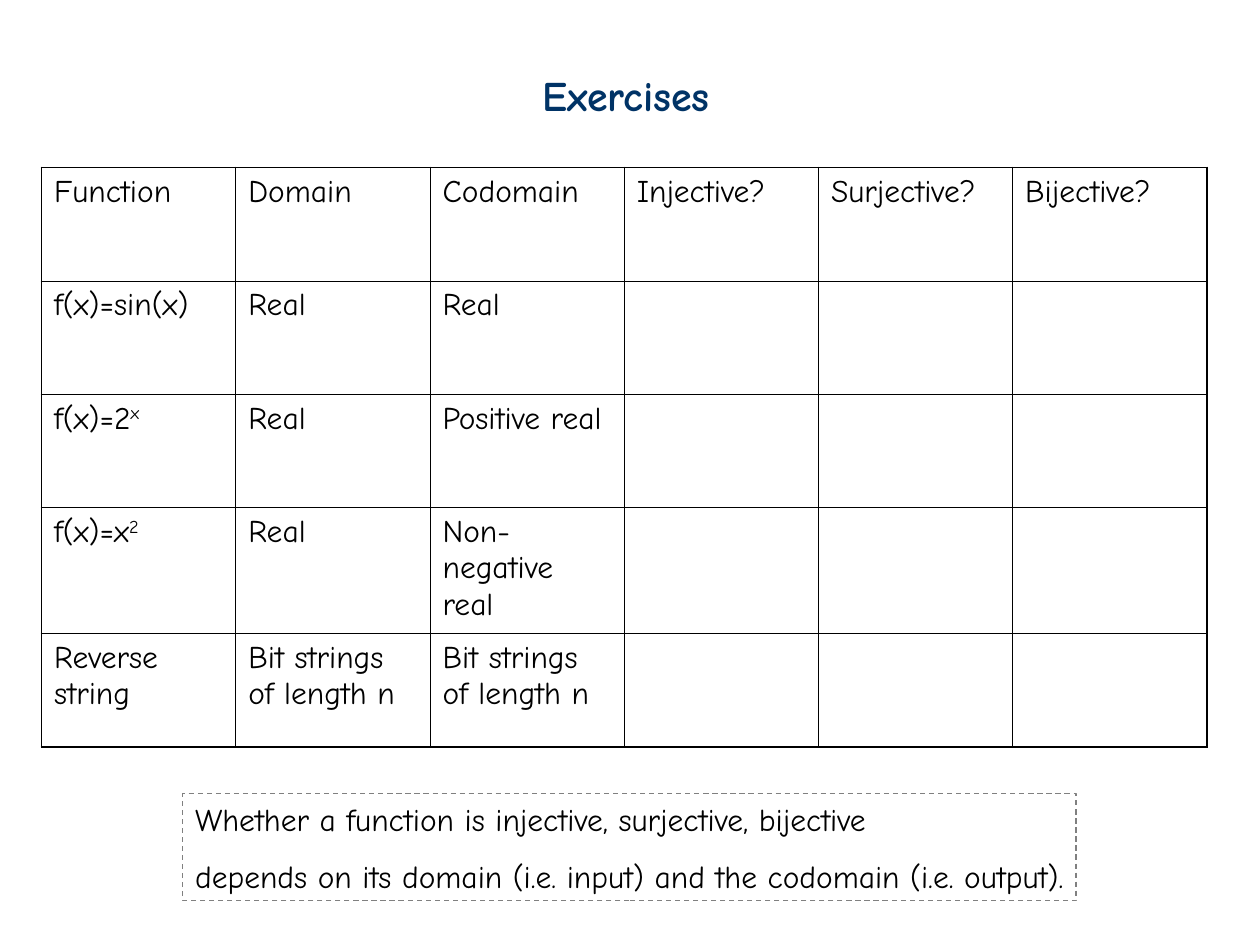
from lxml.etree import SubElement
from pptx import Presentation
from pptx.dml.color import RGBColor
from pptx.enum.dml import MSO_LINE
from pptx.enum.shapes import MSO_SHAPE
from pptx.enum.text import MSO_ANCHOR, PP_ALIGN
from pptx.oxml.ns import qn
from pptx.util import Inches, Pt

WIDTH, HEIGHT = 10, 7.5
HEADINGS = ["Function", "Domain", "Codomain", "Injective?", "Surjective?", "Bijective?"]
# A "^" in a cell starts a superscript.
FUNCTIONS = [
    ["f(x)=sin(x)", "Real", "Real"],
    ["f(x)=2^x", "Real", "Positive real"],
    ["f(x)=x^2", "Real", "Non-negative real"],
    ["Reverse string", "Bit strings of length n", "Bit strings of length n"],
]
ROW_HEIGHTS = [0.9, 0.9, 0.9, 1, 0.9]
NOTE = [
    ("Whether a function is injective, surjective, bijective", 1),
    ("depends on its domain (i.e. input) and the codomain (i.e. output).", 1.5),
]


def colour(value):
    return RGBColor.from_string(value)


class ExerciseSlide:
    font, ink, navy, grey = "Comic Neue", "000000", "003366", "808080"
    size, thin, thick = 18, 0.45, 1.08

    def __init__(self, deck):
        self.page = deck.slides.add_slide(deck.slide_layouts[5])

    def area(self, left, top, width, height):
        """Turn shares of the slide into lengths."""
        return (Inches(left * WIDTH), Inches(top * HEIGHT),
                Inches(width * WIDTH), Inches(height * HEIGHT))

    def add_span(self, para, text, size=None, ink=None, bold=False, raised=False):
        span = para.add_run()
        span.text = text
        span.font.name = self.font
        span.font.size = Pt(size or self.size)
        span.font.bold = bold
        span.font.color.rgb = colour(ink or self.ink)
        if raised:
            span._r.get_or_add_rPr().set("baseline", "30000")

    def add_title(self, text, *shares):
        box = self.page.shapes.title
        box.left, box.top, box.width, box.height = self.area(*shares)
        frame = box.text_frame
        frame.word_wrap = False
        frame.vertical_anchor = MSO_ANCHOR.TOP
        para = frame.paragraphs[0]
        para.alignment = PP_ALIGN.CENTER
        self.add_span(para, text, size=24, ink=self.navy, bold=True)

    def add_border(self, cell, side, weight):
        line = SubElement(cell._tc.get_or_add_tcPr(), qn(f"a:ln{side}"), w=str(Pt(weight)))
        fill = SubElement(line, qn("a:solidFill"))
        SubElement(fill, qn("a:srgbClr"), val=self.ink)

    def add_grid(self, headings, rows, heights, *shares):
        """Add a table with thin inner lines and a thick frame."""
        last_row, last_column = len(rows), len(headings) - 1
        table = self.page.shapes.add_table(
            last_row + 1, last_column + 1, *self.area(*shares)).table
        table.first_row = table.horz_banding = False
        for row, height in zip(table.rows, heights):
            row.height = Inches(height)
        for r, texts in enumerate([headings, *rows]):
            for c in range(last_column + 1):
                cell = table.cell(r, c)
                outer = {"L": c == 0, "R": c == last_column, "T": r == 0, "B": r == last_row}
                for side, is_outer in outer.items():
                    self.add_border(cell, side, self.thick if is_outer else self.thin)
                cell.fill.background()
                if c < len(texts):
                    para = cell.text_frame.paragraphs[0]
                    para.space_before = Pt(4.5)
                    base, _, power = texts[c].partition("^")
                    self.add_span(para, base)
                    if power:
                        self.add_span(para, power, raised=True)

    def add_note(self, lines, *shares):
        box = self.page.shapes.add_shape(MSO_SHAPE.RECTANGLE, *self.area(*shares))
        box.shadow.inherit = False
        box.fill.background()
        box.line.color.rgb = colour(self.grey)
        box.line.width = Pt(0.75)
        box.line.dash_style = MSO_LINE.DASH
        frame = box.text_frame
        frame.word_wrap = False
        frame.vertical_anchor = MSO_ANCHOR.TOP
        for index, (text, spacing) in enumerate(lines):
            para = frame.add_paragraph() if index else frame.paragraphs[0]
            para.alignment = PP_ALIGN.LEFT
            para.line_spacing = spacing
            self.add_span(para, text)


def main():
    deck = Presentation()
    deck.slide_width, deck.slide_height = Inches(WIDTH), Inches(HEIGHT)
    slide = ExerciseSlide(deck)
    slide.add_grid(HEADINGS, FUNCTIONS, ROW_HEIGHTS,
                   0.33 / WIDTH, 1.33 / HEIGHT, 9.25 / WIDTH, 4.6 / HEIGHT)
    slide.add_title("Exercises", 4.2 / WIDTH, 0.5 / HEIGHT, 1.54 / WIDTH, 0.5 / HEIGHT)
    slide.add_note(NOTE, 1.45 / WIDTH, 6.3 / HEIGHT, 7.09 / WIDTH, 0.85 / HEIGHT)
    deck.save("out.pptx")


if __name__ == "__main__":
    main()
